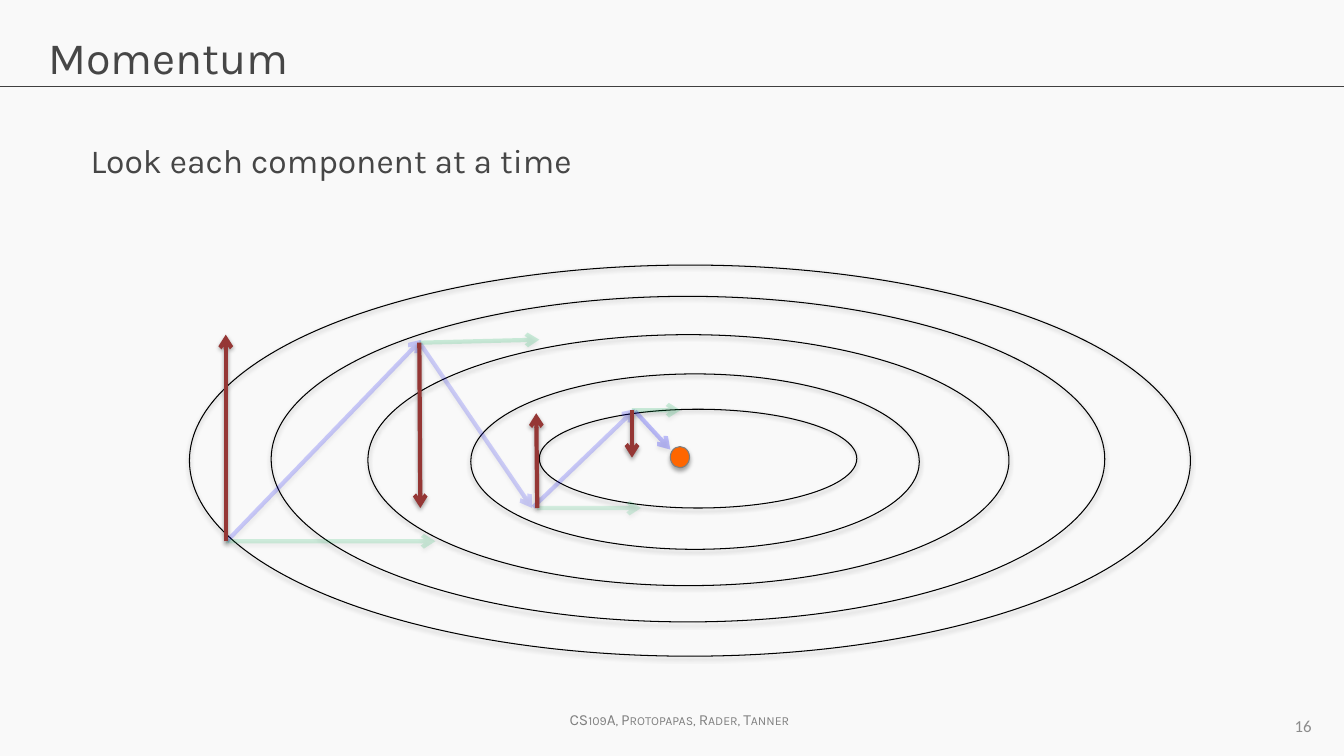
from dataclasses import dataclass

from lxml.etree import SubElement as Sub
from pptx import Presentation
from pptx.dml.color import RGBColor as RGB
from pptx.enum.shapes import MSO_CONNECTOR as Conn, MSO_SHAPE as Kind
from pptx.enum.text import MSO_ANCHOR as Anchor, MSO_AUTO_SIZE as Auto, PP_ALIGN as Align
from pptx.oxml.ns import qn
from pptx.util import Inches, Pt

PAPER = RGB(0xF9, 0xF9, 0xF9)
INK = RGB(0x46, 0x46, 0x46)
RULE = RGB(0x40, 0x40, 0x40)
FOOT = RGB(0x80, 0x80, 0x80)
PAGE = RGB(0x8C, 0x8C, 0x8C)
EDGE = RGB(0x7F, 0x7F, 0x7F)
BLACK = RGB(0, 0, 0)
ORANGE = RGB(0xFF, 0x66, 0)
BLUE = RGB(0, 0, 0xFF)
GREEN = RGB(0, 0xB0, 0x50)
RED = RGB(0x95, 0x37, 0x35)

COLS, ROWS = 133.33, 75


@dataclass
class Box:
    left: float
    top: float
    wide: float
    high: float


@dataclass
class Label:
    text: str
    box: Box
    size: int
    color: RGB
    font: str = "Karla"
    align: Align = Align.LEFT
    anchor: Anchor = Anchor.TOP
    wrap: bool = True
    caps: bool = False


@dataclass
class Arrow:
    start: tuple[float, float]
    end: tuple[float, float]
    color: RGB
    alpha: int = 100


TITLE = Label("Momentum", Box(3.8, 2.4, 125.7, 8.4), 32, INK)
LABELS = [
    Label("CS109A, Protopapas, Rader, Tanner", Box(54.9, 70, 25, 2.9), 11, FOOT,
          align=Align.CENTER, wrap=False, caps=True),
    Label("Look each component at a time", Box(8, 13.4, 113.4, 6.4), 24, INK),
    Label("16", Box(100, 70, 31.1, 4), 12, PAGE, "Calibri", Align.RIGHT, Anchor.MIDDLE),
]
RINGS = [
    Box(53.5, 40.6, 31.5, 9.8),
    Box(46.7, 37.1, 44.5, 17.4),
    Box(36.5, 33.2, 63.6, 24.9),
    Box(26.9, 29.4, 82.7, 32.3),
    Box(18.8, 26.3, 99.3, 38.8),
]
GOAL = Box(66.5, 44.3, 1.9, 2.1)
STEPS = [
    Arrow((22.5, 53.7), (41.8, 33.7), BLUE, 19),
    Arrow((41.7, 34.1), (52.8, 50.4), BLUE, 17),
    Arrow((63, 40.8), (66.5, 44.6), BLUE, 24),
    Arrow((52.9, 50.3), (63, 40.6), BLUE, 18),
]
PARTS = [
    Arrow((22.4, 53.7), (43.2, 53.7), GREEN, 17),
    Arrow((22.4, 53.7), (22.4, 33.2), RED),
    Arrow((41.6, 34), (53.5, 33.7), GREEN, 18),
    Arrow((41.6, 34), (41.7, 50.4), RED),
    Arrow((53.3, 50.4), (63.6, 50.4), GREEN, 15),
    Arrow((53.3, 50.4), (53.2, 41), RED),
    Arrow((62.7, 40.7), (67.5, 40.7), GREEN, 19),
    Arrow((62.7, 40.7), (62.7, 45.4), RED),
]


def cell(count: float) -> int:
    """Length of a number of grid cells, ten to the inch."""
    return Inches(count / 10)


def place(box: Box) -> tuple[int, int, int, int]:
    return cell(box.left), cell(box.top), cell(box.wide), cell(box.high)


def cast(shape) -> None:
    """Give a shape its soft shadow straight below."""
    fx = Sub(shape.element.spPr, qn("a:effectLst"))
    shade = Sub(fx, qn("a:outerShdw"), blurRad=str(Pt(3.1)), dist=str(Pt(1.8)),
                dir="5400000", algn="ctr", rotWithShape="0")
    tint = Sub(shade, qn("a:srgbClr"), val=str(BLACK))
    Sub(tint, qn("a:alpha"), val="35000")


def write(shape, label: Label) -> None:
    shape.left, shape.top, shape.width, shape.height = place(label.box)
    frame = shape.text_frame
    frame.text = label.text
    frame.word_wrap = label.wrap
    frame.auto_size = Auto.NONE
    frame.vertical_anchor = label.anchor
    para = frame.paragraphs[0]
    para.alignment = label.align
    font = para.font
    font.name, font.size = label.font, Pt(label.size)
    font.color.rgb = label.color
    if label.caps:
        para._p.pPr.find(qn("a:defRPr")).set("cap", "small")


def oval(shapes, box: Box, edge: RGB, fill: RGB | None = None) -> None:
    shape = shapes.add_shape(Kind.OVAL, *place(box))
    if fill is None:
        shape.fill.background()
    else:
        shape.fill.solid()
        shape.fill.fore_color.rgb = fill
    shape.line.color.rgb = edge
    shape.line.width = Pt(0.75)
    cast(shape)


def link(shapes, start: tuple[float, float], end: tuple[float, float],
         color: RGB, width: float):
    line = shapes.add_connector(Conn.STRAIGHT, *map(cell, start + end))
    line.line.color.rgb = color
    line.line.width = Pt(width)
    return line


def point(shapes, arrow: Arrow) -> None:
    line = link(shapes, arrow.start, arrow.end, arrow.color, 3)
    stroke = line.line._get_or_add_ln()
    if arrow.alpha < 100:
        tint = stroke.find(".//" + qn("a:srgbClr"))
        Sub(tint, qn("a:alpha"), val=str(arrow.alpha * 1000))
    Sub(stroke, qn("a:tailEnd"), type="arrow")
    cast(line)


def main() -> None:
    deck = Presentation()
    deck.slide_width, deck.slide_height = cell(COLS), cell(ROWS)
    slide = deck.slides.add_slide(deck.slide_layouts[5])
    slide.background.fill.solid()
    slide.background.fill.fore_color.rgb = PAPER
    shapes = slide.shapes

    rule = link(shapes, (0, 8.6), (COLS, 8.6), RULE, 0.75)
    Sub(rule.element.spPr, qn("a:effectLst"))
    write(shapes.title, TITLE)
    for label in LABELS:
        write(shapes.add_textbox(*place(label.box)), label)

    group = shapes.add_group_shape()
    for ring in RINGS:
        oval(group.shapes, ring, BLACK)
    oval(shapes, GOAL, EDGE, ORANGE)
    for arrow in STEPS + PARTS:
        point(shapes, arrow)
    deck.save("out.pptx")


if __name__ == "__main__":
    main()
